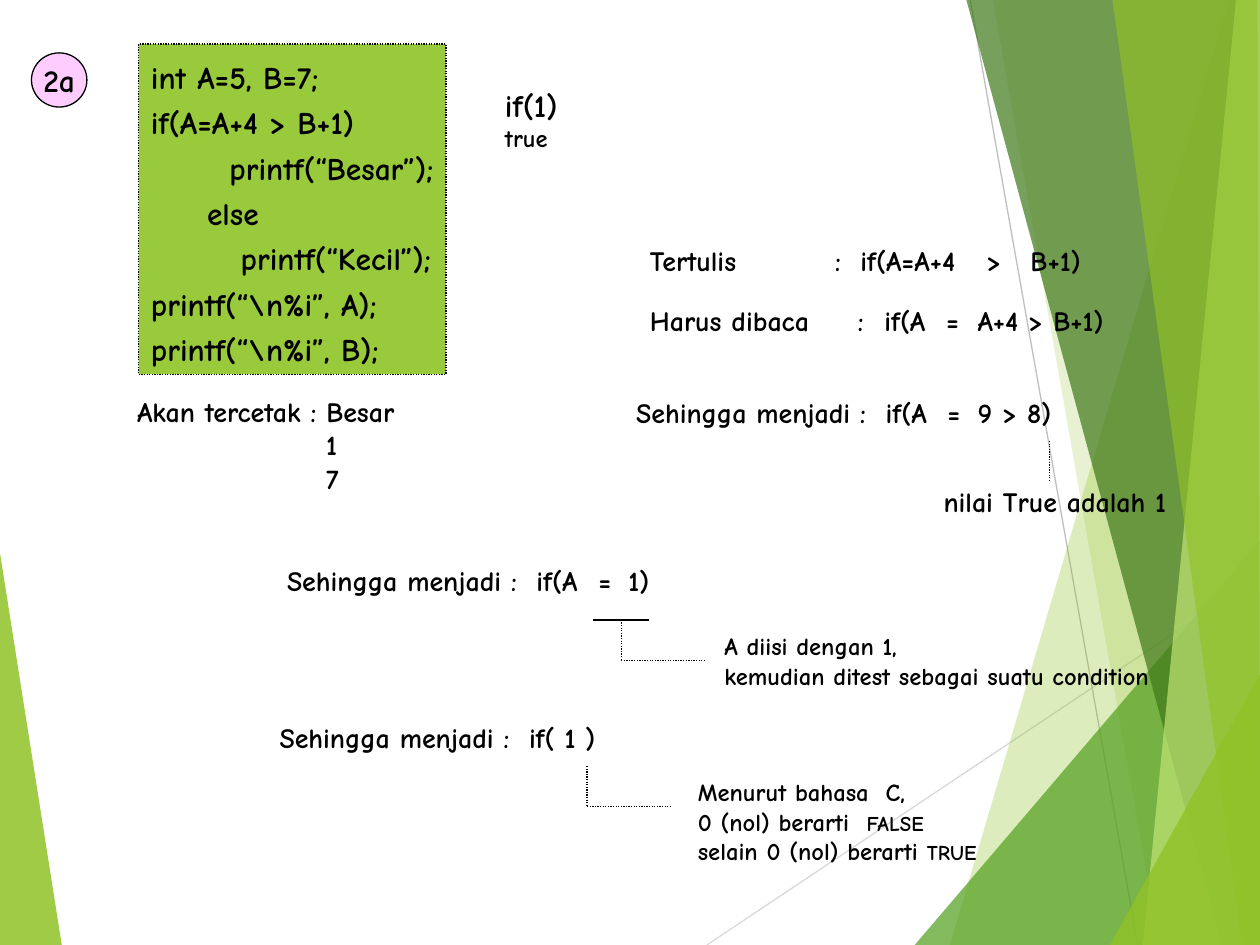
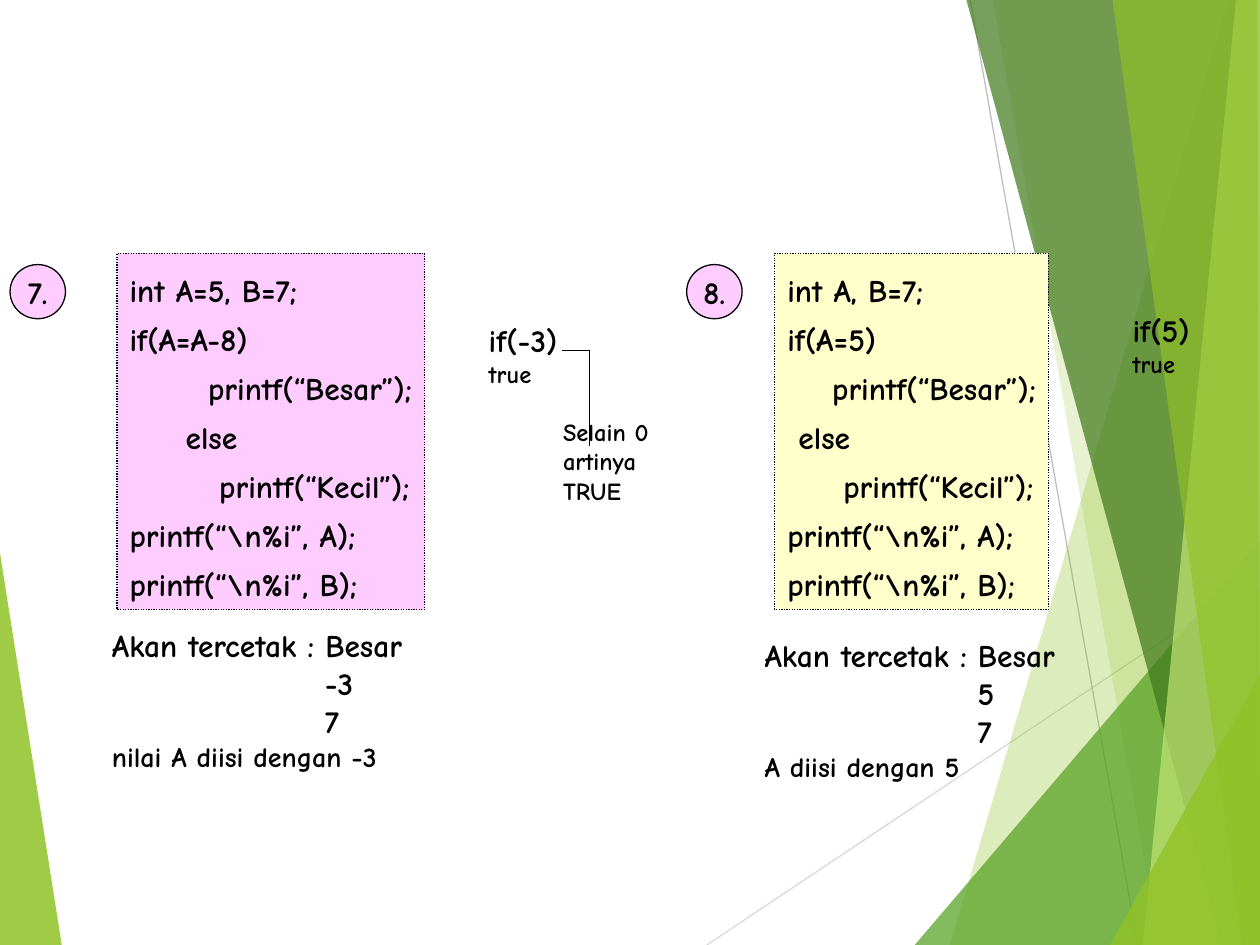
from dataclasses import dataclass

from lxml.etree import SubElement
from pptx import Presentation
from pptx.dml.color import RGBColor
from pptx.enum.dml import MSO_LINE
from pptx.enum.shapes import MSO_CONNECTOR, MSO_SHAPE
from pptx.enum.text import MSO_ANCHOR, PP_ALIGN
from pptx.oxml.ns import qn
from pptx.util import Inches, Pt


class Theme:
    font = "Comic Neue"
    ink = "000000"
    pink, cream, lime = "FFCCFF", "FFFFCC", "99CA3C"
    big, mid, small, tiny = 18, 16, 14, 12
    thin = 0.75


@dataclass
class Line:
    text: str
    size: int = Theme.mid
    tabs: tuple = ()
    left: float = 0
    tail: str = ""  # closing word in the tiny size


# Shared backdrop: (colour, opacity in percent, corners)
EDGE = [("90C226", 85, [(0, 4.39), (0.49, 7.5), (0, 7.5)])]
RAYS = [("D9D9D9", (5.61, 7.5, 10, 4.57)), ("BFBFBF", (7.7, 0, 9.03, 7.5))]
FACETS = [
    ("90C226", 30, [(9.75, 0), (7.54, 7.5), (10, 7.5), (10, 0)]),
    ("90C226", 20, [(7.88, 0), (9.2, 7.5), (10, 7.5), (10, 0)]),
    ("54A021", 72, [(7.26, 7.5), (10, 4.29), (10, 7.5)]),
    ("3F7819", 70, [(7.67, 0), (9.7, 7.5), (10, 7.5), (10, 0)]),
    ("C0E474", 70, [(9.81, 0), (9.07, 7.5), (10, 7.5), (10, 0)]),
    ("90C226", 65, [(8.83, 0), (9.86, 7.5), (10, 7.5), (9.98, 0)]),
    ("90C226", 80, [(8.81, 7.5), (10, 5.35), (10, 7.5)]),
]


def code(decl, cond, pads):
    """Lines of one exercise; pads are the leading spaces of the branches."""
    yes, other, no = (" " * pad for pad in pads)
    rows = [decl, cond, yes + "printf(“Besar”);", other + "else",
            no + "printf(“Kecil”);", r"printf(“\n%i”, A);",
            r"printf(“\n%i”, B);"]
    return [Line(row, Theme.big) for row in rows]


def output(size, left, *values):
    """The printed result, values lined up under the first word."""
    return [Line("Akan tercetak : Besar", size),
            *(Line(value, size, left=left) for value in values)]


def test(cond):
    return [Line(cond, Theme.big), Line("true", Theme.small)]


def step(cond):
    return [Line("Sehingga menjadi :\t" + cond, tabs=(1.98, 2.47, 2.71))]


WIDE, NEAR = (7, 5, 8), (4, 1, 5)

# badges: label, x, y; codes: x, y, w, h, fill, spacing, lines
# notes: x, y, w, h, spacing, lines; links: dotted, points of a path
SLIDES = [
    {
        "badges": [("2a", 0.25, 0.42)],
        "codes": [(1.1, 0.35, 2.44, 2.62, Theme.lime, 1.2,
                   code("int A=5, B=7;", "if(A=A+4 > B+1)", WIDE))],
        "notes": [
            (0.99, 3.08, 2.26, 0.9, 1, output(Theme.mid, 1.5, "1", "7")),
            (3.91, 0.63, 0.62, 0.64, 1, test("if(1)")),
            (5.06, 1.67, 3.81, 1.06, 1.8, [
                Line("Tertulis\t:\tif(A=A+4\t>\tB+1)",
                     tabs=(1.47, 1.67, 2.67, 3.02)),
                Line("Harus dibaca\t:\tif(A\t=\tA+4 > B+1)",
                     tabs=(1.65, 1.86, 2.35, 2.6)),
            ]),
            (4.95, 3.09, 3.51, 0.37, 1, step("if(A\t=\t9 > 8)")),
            (7.39, 3.8, 2.1, 0.37, 1, [Line("nilai True adalah 1")]),
            (2.18, 4.42, 3.09, 0.37, 1, step("if(A\t=\t1)")),
            (5.65, 4.96, 3.58, 0.57, 1, [
                Line("A diisi dengan 1,", Theme.small),
                Line("kemudian ditest sebagai suatu condition", Theme.small),
            ]),
            (2.12, 5.67, 2.71, 0.37, 1, step("if( 1 )")),
            (5.44, 6.12, 2.42, 0.8, 1, [
                Line("Menurut bahasa\tC,", Theme.small, (1.49,)),
                Line("0 (nol) berarti\t", Theme.small, (1.34,), tail="FALSE"),
                Line("selain 0 (nol) berarti ", Theme.small, tail="TRUE"),
            ]),
        ],
        "links": [
            (True, [(8.33, 3.5), (8.33, 3.82)]),
            (False, [(4.71, 4.92), (5.15, 4.92)]),
            (True, [(4.93, 4.92), (4.93, 5.24), (5.6, 5.24)]),
            (True, [(4.66, 6.08), (4.66, 6.4), (5.32, 6.4)]),
        ],
    },
    {
        "badges": [("7.", 0.08, 2.1), ("8.", 5.45, 2.1)],
        "codes": [
            (0.93, 2.01, 2.44, 2.83, Theme.pink, 1.3,
             code("int A=5, B=7;", "if(A=A-8)", WIDE)),
            (6.15, 2.01, 2.17, 2.83, Theme.cream, 1.3,
             code("int A, B=7;", "if(A=5)", NEAR)),
        ],
        "notes": [
            (5.97, 5, 2.52, 1.27, 1, output(Theme.big, 1.69, "5", "7")
             + [Line("A diisi dengan 5")]),
            (3.78, 2.5, 0.74, 0.64, 1, test("if(-3)")),
            (8.89, 2.42, 0.65, 0.64, 1, test("if(5)")),
            (4.37, 3.26, 0.88, 0.8, 1,
             [Line(row, Theme.small)
              for row in ("Selain 0", "artinya", "TRUE")]),
            (0.79, 4.92, 2.52, 1.27, 1, output(Theme.big, 1.69, "-3", "7")
             + [Line("nilai A diisi dengan -3")]),
        ],
        "links": [(False, [(4.46, 2.78), (4.68, 2.78), (4.68, 3.54)])],
    },
]


def rgb(tone):
    return RGBColor.from_string(tone)


def pen(line, tone, dotted=False):
    line.color.rgb = rgb(tone)
    line.width = Pt(Theme.thin)
    if dotted:
        line.dash_style = MSO_LINE.ROUND_DOT


def facet(slide, tone, alpha, dots):
    start, *rest = [(Inches(x), Inches(y)) for x, y in dots]
    form = slide.shapes.build_freeform(*start)
    form.add_line_segments(rest, close=True)
    shape = form.convert_to_shape()
    shape.shadow.inherit = False
    shape.line.fill.background()
    shape.fill.solid()
    shape.fill.fore_color.rgb = rgb(tone)
    paint = shape.fill._xPr.find(qn("a:solidFill"))[0]
    SubElement(paint, qn("a:alpha"), val=str(alpha * 1000))


def rule(slide, ends, tone=Theme.ink, dotted=False):
    link = slide.shapes.add_connector(
        MSO_CONNECTOR.STRAIGHT, *(Inches(n) for n in ends))
    pen(link.line, tone, dotted)
    SubElement(link._element.spPr, qn("a:effectLst"))


def write(frame, lines, space=1, align=PP_ALIGN.LEFT):
    for i, line in enumerate(lines):
        para = frame.add_paragraph() if i else frame.paragraphs[0]
        para.alignment = align
        para.line_spacing = float(space)
        props = para._p.get_or_add_pPr()
        if line.left:
            props.set("marL", str(Inches(line.left)))
        if line.tabs:
            stops = SubElement(props, qn("a:tabLst"))
            for pos in line.tabs:
                SubElement(stops, qn("a:tab"), pos=str(Inches(pos)), algn="l")
        for text, size in ((line.text, line.size), (line.tail, Theme.tiny)):
            if text:
                run = para.add_run()
                run.text = text
                run.font.name = Theme.font
                run.font.size = Pt(size)
                run.font.bold = True
                run.font.color.rgb = rgb(Theme.ink)


def panel(slide, kind, area, fill, dotted=False):
    shape = slide.shapes.add_shape(kind, *(Inches(n) for n in area))
    shape.shadow.inherit = False
    shape.fill.solid()
    shape.fill.fore_color.rgb = rgb(fill)
    pen(shape.line, Theme.ink, dotted)
    shape.text_frame.word_wrap = False
    return shape.text_frame


def build(slide, data):
    # Backdrop
    for item in EDGE:
        facet(slide, *item)
    for tone, ends in RAYS:
        rule(slide, ends, tone)
    for item in FACETS:
        facet(slide, *item)

    # Numbered badges
    for label, x, y in data["badges"]:
        frame = panel(slide, MSO_SHAPE.OVAL, (x, y, 0.44, 0.43), Theme.pink)
        frame.vertical_anchor = MSO_ANCHOR.MIDDLE
        write(frame, [Line(label, Theme.big)], align=PP_ALIGN.CENTER)

    # Code panels
    for *area, fill, space, lines in data["codes"]:
        frame = panel(slide, MSO_SHAPE.RECTANGLE, area, fill, True)
        frame.vertical_anchor = MSO_ANCHOR.TOP
        write(frame, lines, space)

    # Notes, with a little slack so that no line breaks
    for x, y, w, h, space, lines in data["notes"]:
        box = slide.shapes.add_textbox(
            *(Inches(n) for n in (x, y, w + 0.04, h)))
        box.text_frame.word_wrap = True
        write(box.text_frame, lines, space)

    # Pointer lines
    for dotted, dots in data["links"]:
        for start, end in zip(dots, dots[1:]):
            rule(slide, start + end, dotted=dotted)


def main():
    deck = Presentation()
    deck.slide_width, deck.slide_height = Inches(10), Inches(7.5)
    for data in SLIDES:
        build(deck.slides.add_slide(deck.slide_layouts[6]), data)
    deck.save("out.pptx")


if __name__ == "__main__":
    main()
